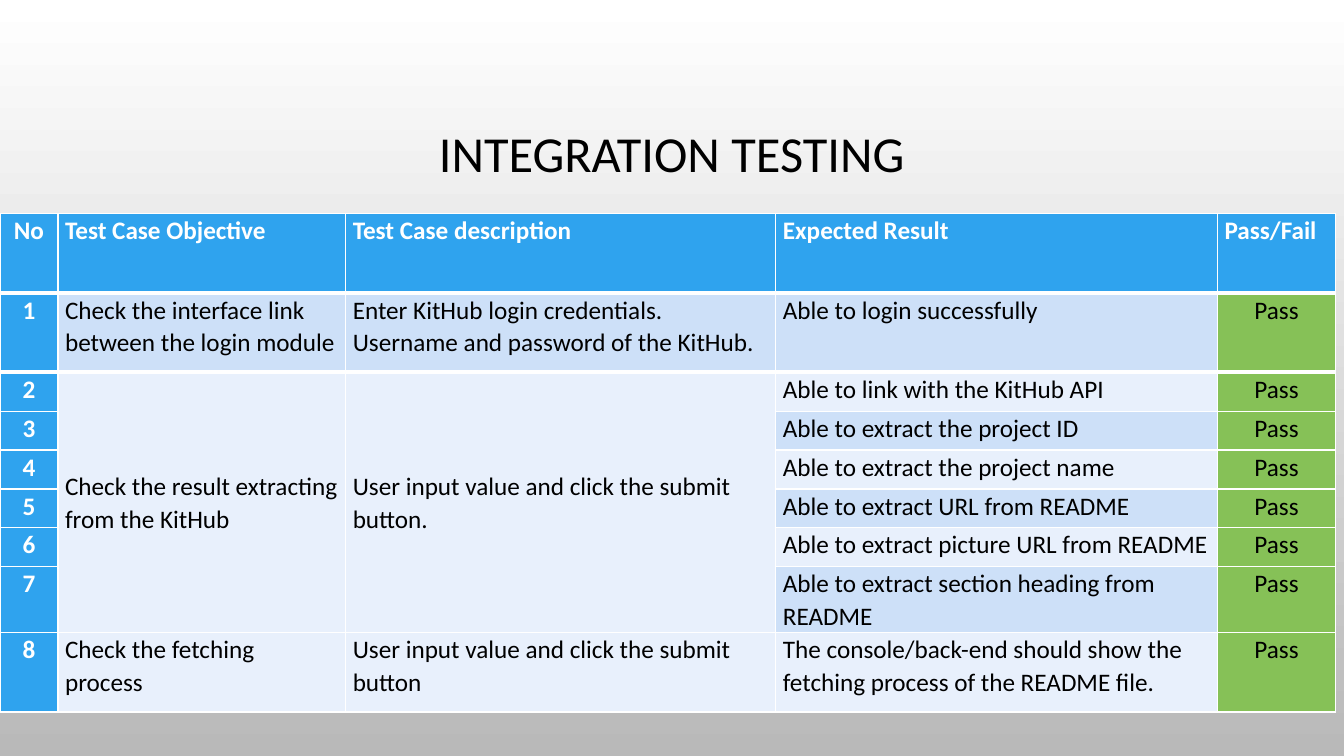
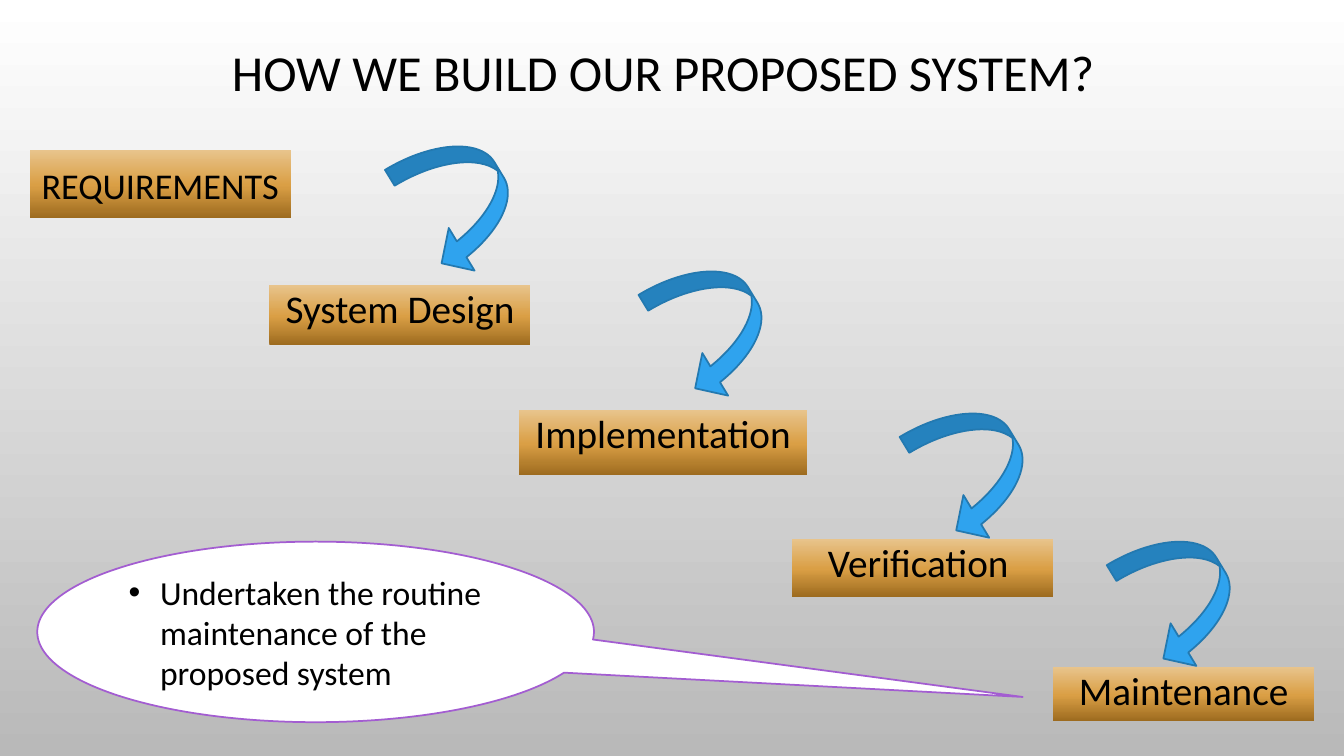
from copy import deepcopy

from lxml.etree import Element, SubElement
from pptx import Presentation
from pptx.dml.color import RGBColor
from pptx.enum.shapes import MSO_SHAPE
from pptx.enum.text import MSO_ANCHOR, MSO_AUTO_SIZE, PP_ALIGN
from pptx.oxml.ns import qn
from pptx.util import Cm, Pt

COLORS = {
    "text": "000000",
    "white": "FFFFFF",
    "backdrop": "B9B9B9",
    "blue": "2FA3EE",
    "blue_line": "2379B0",
    "band_dark": "CDE0F8",
    "band_light": "E8F0FC",
    "pass": "86C157",
    "gold_dark": "9D6B1F",
    "gold": "DA9F45",
    "gold_light": "E8C48C",
    "purple": "A35DD1",
}


def color(name):
    return RGBColor.from_string(COLORS[name])


class Deck:
    """Holds the shared style and the slide being built."""

    font = "Calibri"
    title_size = 36

    def __init__(self):
        self.presentation = Presentation()
        self.presentation.slide_width = Cm(33.87)
        self.presentation.slide_height = Cm(19.05)
        self.slide = None
        # Backdrop shared by every slide
        fill = self.presentation.slide_master.background.fill
        fill.gradient()
        fill.gradient_angle = 270
        self.color_stops(fill, [(0, "white"), (1, "backdrop")])

    @staticmethod
    def color_stops(fill, stops):
        for stop, (position, name) in zip(fill.gradient_stops, stops):
            stop.position = position
            stop.color.rgb = color(name)

    def format_text(self, text_frame, size, name="text", bold=False,
                    align=PP_ALIGN.LEFT, spacing=1.0):
        for paragraph in text_frame.paragraphs:
            paragraph.alignment = align
            paragraph.line_spacing = spacing
            for run in paragraph.runs:
                run.font.name = self.font
                run.font.size = Pt(size)
                run.font.bold = bold
                run.font.color.rgb = color(name)

    def add_slide(self, title, left, top, width, height):
        layout = self.presentation.slide_layouts[5]
        self.slide = self.presentation.slides.add_slide(layout)
        shape = self.slide.shapes.title
        shape.left, shape.top = Cm(left), Cm(top)
        shape.width, shape.height = Cm(width), Cm(height)
        text_frame = shape.text_frame
        text_frame.text = title
        text_frame.auto_size = MSO_AUTO_SIZE.NONE
        text_frame.vertical_anchor = MSO_ANCHOR.MIDDLE
        self.format_text(text_frame, self.title_size,
                         align=PP_ALIGN.CENTER, spacing=0.9)

    def add_shape(self, kind, left, top, width, height, fill=None, line=None):
        shape = self.slide.shapes.add_shape(
            kind, Cm(left), Cm(top), Cm(width), Cm(height))
        shape.shadow.inherit = False
        if fill:
            shape.fill.solid()
            shape.fill.fore_color.rgb = color(fill)
        if line:
            shape.line.color.rgb = color(line)
            shape.line.width = Pt(1.25)
        else:
            shape.line.fill.background()
        return shape

    def add_step(self, text, box, size=28, spacing=0.9):
        shape = self.add_shape(MSO_SHAPE.RECTANGLE, *box)
        shape.fill.gradient()
        shape.fill.gradient_angle = 90
        # A third stop is needed between the two default ones
        stop_list = shape._element.spPr.find(".//" + qn("a:gsLst"))
        stop_list.insert(1, deepcopy(stop_list[0]))
        self.color_stops(shape.fill, [(0, "gold_dark"), (0.48, "gold"),
                                      (1, "gold_light")])
        shape.text_frame.text = text
        shape.text_frame.vertical_anchor = MSO_ANCHOR.TOP
        self.format_text(shape.text_frame, size,
                         align=PP_ALIGN.CENTER, spacing=spacing)

    def add_curved_arrow(self, left, top):
        shape = self.add_shape(MSO_SHAPE.CURVED_DOWN_ARROW, left, top,
                               3.38, 2.46, "blue", "blue_line")
        shape.rotation = 58.8
        for index, value in enumerate((0.19, 0.51, 0.25)):
            shape.adjustments[index] = value

    def add_callout(self, text, box, tip):
        shape = self.add_shape(MSO_SHAPE.OVAL_CALLOUT, *box, "white", "purple")
        shape.adjustments[0], shape.adjustments[1] = tip
        shape.text_frame.text = text
        properties = shape.text_frame.paragraphs[0]._p.get_or_add_pPr()
        properties.set("marL", str(Cm(0.79)))
        properties.set("indent", str(-Cm(0.79)))
        SubElement(properties, qn("a:buFont"), typeface="Arial")
        SubElement(properties, qn("a:buChar"), char="•")
        self.format_text(shape.text_frame, 24)

    @staticmethod
    def set_border(cell, side, width):
        border = Element(qn(f"a:ln{side}"), w=str(Pt(width)))
        fill = SubElement(border, qn("a:solidFill"))
        SubElement(fill, qn("a:srgbClr"), val=COLORS["white"])
        # Borders come before the fill of the cell
        cell._tc.get_or_add_tcPr().insert(0, border)

    def fill_cell(self, cell, text, fill, **style):
        cell.fill.solid()
        cell.fill.fore_color.rgb = color(fill)
        cell.margin_left = cell.margin_right = Cm(0.18)
        cell.margin_top = cell.margin_bottom = 0
        cell.text_frame.text = text
        self.format_text(cell.text_frame, 18, spacing=1.07, **style)

    def add_test_table(self, left, top, widths, heights, rows, merged_rows):
        table = self.slide.shapes.add_table(
            len(rows), len(widths), Cm(left), Cm(top),
            Cm(sum(widths)), Cm(sum(heights))).table
        table.first_col = True
        for column, width in zip(table.columns, widths):
            column.width = Cm(width)
        for row, height in zip(table.rows, heights):
            row.height = Cm(height)

        # Objective and description are shared by several results
        first, last = merged_rows
        for column in (1, 2):
            table.cell(first, column).merge(table.cell(last, column))
            table.cell(first, column).vertical_anchor = MSO_ANCHOR.MIDDLE

        last_column = len(widths) - 1
        for row, texts in enumerate(rows):
            band = "band_dark" if row % 2 else "band_light"
            for column, text in enumerate(texts):
                cell = table.cell(row, column)
                if cell.is_spanned:
                    continue
                heading = row == 0 or column == 0
                centered = column == 0 or (row > 0 and column == last_column)
                fill = ("blue" if heading else
                        "pass" if column == last_column else band)
                self.fill_cell(
                    cell, text, fill, bold=heading,
                    name="white" if heading else "text",
                    align=PP_ALIGN.CENTER if centered else PP_ALIGN.LEFT)

        # Thick rule under the header
        for column in range(len(widths)):
            self.set_border(table.cell(0, column), "B", 3)
            self.set_border(table.cell(1, column), "T", 3)


# Objective, description and expected result of each test
TESTS = [
    ("Check the interface link between the login module",
     "Enter KitHub login credentials. "
     "Username and password of the KitHub.",
     "Able to login successfully"),
    ("Check the result extracting from the KitHub",
     "User input value and click the submit button.",
     "Able to link with the KitHub API"),
    ("", "", "Able to extract the project ID"),
    ("", "", "Able to extract the project name"),
    ("", "", "Able to extract URL from README"),
    ("", "", "Able to extract picture URL from README"),
    ("", "", "Able to extract section heading from README"),
    ("Check the fetching\vprocess",
     "User input value and click the submit button",
     "The console/back-end should show the fetching process "
     "of the README file."),
]


def build_testing_slide(deck):
    deck.add_slide("INTEGRATION TESTING", 2.54, 1.71, 28.78, 4.45)
    header = ("No", "Test Case Objective", "Test Case description",
              "Expected Result", "Pass/Fail")
    rows = [header] + [(str(number), *test, "Pass")
                       for number, test in enumerate(TESTS, 1)]
    deck.add_test_table(
        0, 5.38, widths=[1.46, 7.25, 10.84, 11.13, 2.98],
        heights=[2, 2] + [0.98] * 5 + [1.66, 2],
        rows=rows, merged_rows=(2, 7))


def build_process_slide(deck):
    deck.add_slide("HOW WE BUILD OUR PROPOSED SYSTEM?",
                   2.11, 0.64, 29.21, 2.49)
    # Waterfall steps
    deck.add_step("REQUIREMENTS", (0.75, 3.77, 6.58, 1.73),
                  size=25.9, spacing=1.2)
    for text, box in [
        ("System Design", (6.79, 7.18, 6.58, 1.52)),
        ("Implementation", (13.08, 10.33, 7.26, 1.64)),
        ("Verification ", (19.96, 13.58, 6.58, 1.46)),
        ("Maintenance", (26.54, 16.81, 6.58, 1.36)),
    ]:
        deck.add_step(text, box)
    # Arrows from step to step
    for left, top in [(9.94, 3.86), (16.33, 7.01),
                      (22.91, 10.59), (28.13, 13.82)]:
        deck.add_curved_arrow(left, top)
    # Remark on the last step
    deck.add_callout(
        "Undertaken the routine maintenance of the proposed system",
        (0.94, 13.65, 14.03, 4.55), tip=(1.27, 0.36))


def main():
    deck = Deck()
    build_testing_slide(deck)
    build_process_slide(deck)
    deck.presentation.save("out.pptx")


if __name__ == "__main__":
    main()
